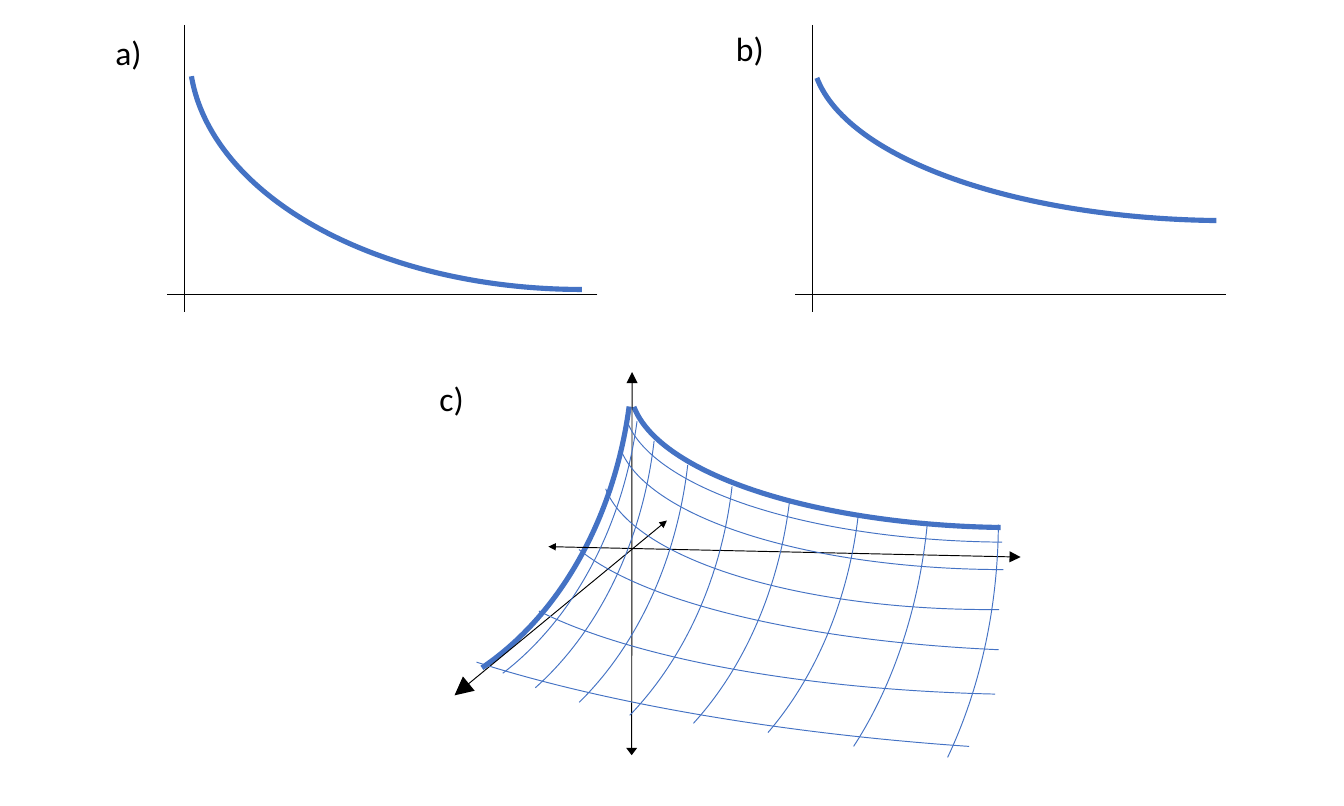
from dataclasses import dataclass

from lxml import etree
from pptx import Presentation
from pptx.dml.color import RGBColor
from pptx.enum.shapes import MSO_CONNECTOR, MSO_SHAPE
from pptx.enum.text import MSO_AUTO_SIZE
from pptx.oxml.ns import qn
from pptx.util import Pt

ARC = MSO_SHAPE.ARC
STRAIGHT = MSO_CONNECTOR.STRAIGHT
FIT_SHAPE = MSO_AUTO_SIZE.SHAPE_TO_FIT_TEXT
ARC_UNITS_PER_DEGREE = 0.6


@dataclass(frozen=True)
class Theme:
    """Colours, type and line widths of the slide."""
    curve: RGBColor = RGBColor(0x44, 0x72, 0xC4)
    ink: RGBColor = RGBColor(0, 0, 0)
    font: str = "Calibri"
    label_size: float = 18
    bold_line: float = 2.75
    fine_line: float = 0.5


THEME = Theme()

DEPTH_MESH = [
    ((41.8, -3.6, 301.7, 391.7), (12.73, 65.54)),
    ((50.4, 11.5, 301.7, 391.7), (10.98, 62.06)),
    ((68.4, 24.5, 301.7, 391.7), (10.98, 59.74)),
    ((79.2, 37.4, 314.6, 391.7), (10.02, 56.1)),
    ((123.1, 42.5, 301.7, 391.7), (10.98, 56.86)),
    ((159.8, 51.1, 301.7, 391.7), (10.98, 55.32)),
    ((197.3, 31, 301, 437.8), (11.7, 53.89)),
    ((213.8, 51.8, 321.1, 455), (0.69, 43.52)),
]
BREADTH_MESH = [
    ((334.1, 140.8, 414.7, 149.8), (93.52, 177.16), 0),
    ((330.5, 155.5, 414.7, 149.8), (90.22, 177.16), 0),
    ((322.6, 176.9, 414.7, 149.8), (85.89, 177.16), 0),
    ((153.4, 221, 744.5, 179.3), (90.24, 166.8), 3.9),
    ((247, 193, 620.6, 179.3), (105.14, 170.51), 0),
    ((294.5, 186.5, 566.6, 162.7), (117.99, 174.3), 0),
]
SPACE_AXES = [
    ((338.6, 199.4), (338.4, 404.8), ("med", "med"), ("med", "sm")),
    ((357.3, 279), (243.5, 372.7), ("sm", "sm"), ("lg", "lg")),
    ((546.8, 298.6), (293.8, 293), ("med", "med"), ("sm", "sm")),
]


def add_curve(shapes, frame, angles, width=THEME.fine_line, rotation=0):
    """Draw the part of an ellipse between two clockwise angles in degrees."""
    curve = shapes.add_shape(ARC, *(Pt(length) for length in frame))
    for index, angle in enumerate(angles):
        curve.adjustments[index] = angle * ARC_UNITS_PER_DEGREE
    curve.rotation = rotation
    curve.shadow.inherit = False
    curve.fill.background()
    curve.line.color.rgb = THEME.curve
    curve.line.width = Pt(width)


def add_axis(shapes, start, end):
    """Draw one thin black axis and return it."""
    axis = shapes.add_connector(STRAIGHT, *(Pt(length) for length in (*start, *end)))
    axis.line.color.rgb = THEME.ink
    axis.line.width = Pt(THEME.fine_line)
    etree.SubElement(axis._element.spPr, qn("a:effectLst"))
    return axis


def add_arrow_axis(shapes, start, end, start_size, end_size):
    """Draw an axis with a triangle of given width and length at each end."""
    axis = add_axis(shapes, start, end)
    outline = axis.line._get_or_add_ln()
    for tag, (width, length) in (("a:headEnd", start_size), ("a:tailEnd", end_size)):
        etree.SubElement(outline, qn(tag), type="triangle", w=width, len=length)


def add_label(shapes, text, left, top, width):
    """Add a panel letter."""
    label = shapes.add_textbox(Pt(left), Pt(top), Pt(width), Pt(29))
    frame = label.text_frame
    frame.word_wrap = False
    frame.auto_size = FIT_SHAPE
    run = frame.paragraphs[0].add_run()
    run.text = text
    run.font.name = THEME.font
    run.font.size = Pt(THEME.label_size)
    run.font.color.rgb = THEME.ink


def add_flat_panel(slide, axis_x, frame, angles):
    """Group a falling curve with its two plain axes."""
    panel = slide.shapes.add_group_shape().shapes
    add_curve(panel, frame, angles, THEME.bold_line)
    add_axis(panel, (axis_x, 13.3), (axis_x, 167))
    add_axis(panel, (axis_x + 221.4, 157.7), (axis_x - 9.3, 157.7))


def add_surface_panel(slide):
    """Group the curved surface, its mesh, three axes and its letter."""
    panel = slide.shapes.add_group_shape().shapes
    add_curve(panel, (337.7, 133, 414.7, 149.8), (96.84, 177.16), THEME.bold_line)
    add_curve(panel, (37.6, -11.5, 301.7, 391.7), (12.73, 68.12), THEME.bold_line)
    for axis in SPACE_AXES:
        add_arrow_axis(panel, *axis)
    for frame, angles in DEPTH_MESH:
        add_curve(panel, frame, angles)
    for frame, angles, rotation in BREADTH_MESH:
        add_curve(panel, frame, angles, rotation=rotation)
    add_label(panel, "c)", 228.4, 199.1, 28.4)


def main():
    """Build the slide and save it."""
    deck = Presentation()
    deck.slide_width, deck.slide_height = Pt(720), Pt(432)
    slide = deck.slides.add_slide(deck.slide_layouts[6])
    add_flat_panel(slide, 98.6, (101.5, -99, 419.8, 254.2), (89.82, 176.49))
    add_flat_panel(slide, 435.2, (435.1, -61.7, 445.7, 180), (94, 176.49))
    add_label(slide.shapes, "a)", 54.7, 13.7, 28.8)
    add_label(slide.shapes, "b)", 387.2, 11.5, 30)
    add_surface_panel(slide)
    deck.save("out.pptx")


if __name__ == "__main__":
    main()
